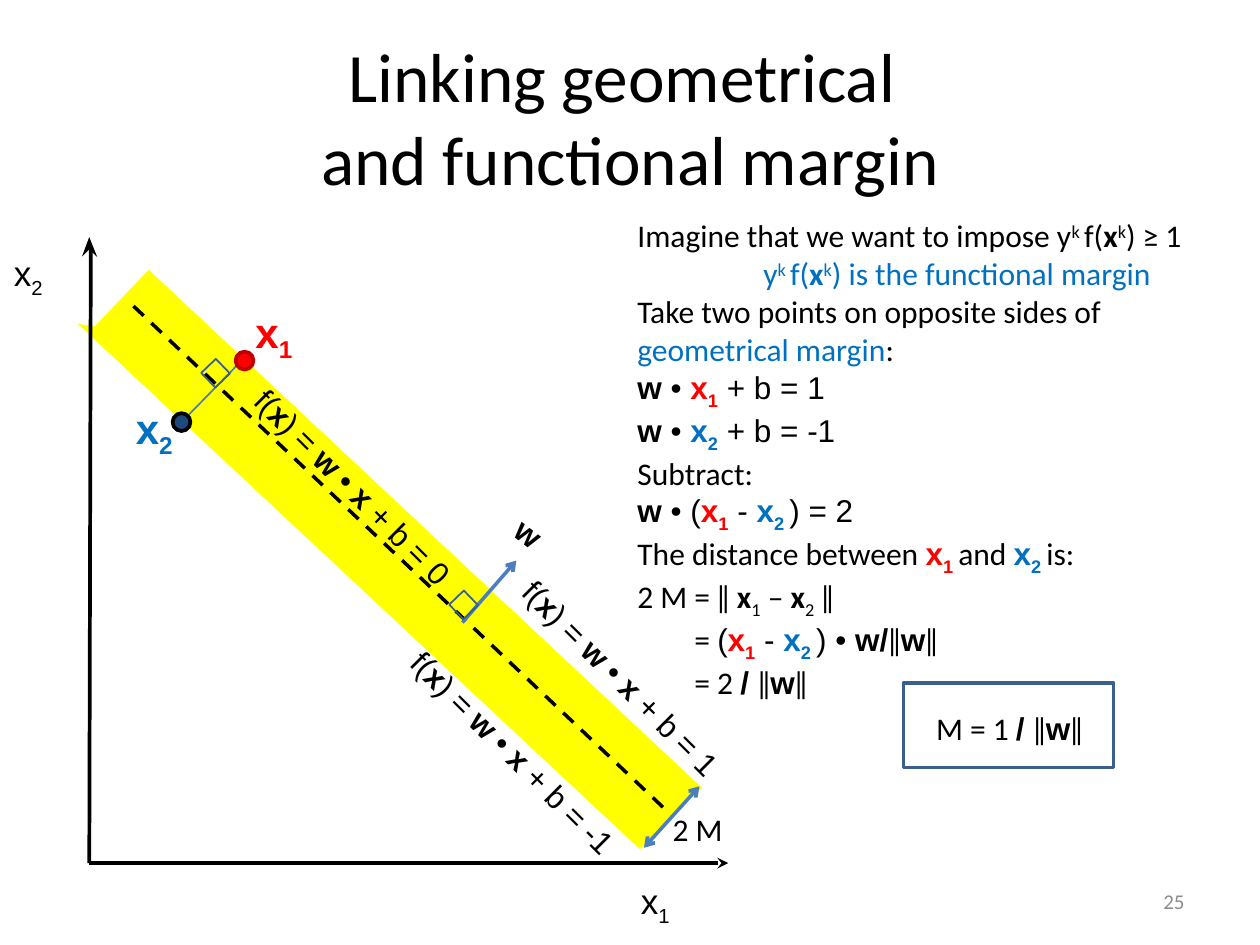
"""Build a slide that links the geometrical and the functional margin."""
from dataclasses import dataclass, field, replace

from lxml.etree import SubElement
from pptx import Presentation
from pptx.dml.color import RGBColor
from pptx.enum.dml import MSO_LINE
from pptx.enum.shapes import MSO_CONNECTOR, MSO_SHAPE
from pptx.enum.text import MSO_ANCHOR, MSO_AUTO_SIZE, PP_ALIGN
from pptx.oxml.ns import qn
from pptx.util import Cm, Pt

COLORS = {
    "black": "000000", "white": "FFFFFF", "gray": "8C8C8C", "yellow": "FFFF00",
    "red": "FF0000", "dark red": "C00000", "blue": "0070C0", "navy": "1F497D",
    "arrow": "4B7EBC", "outline": "3A5F8C",
}


@dataclass(frozen=True)
class Run:
    text: str
    name: str = "Calibri"
    bold: bool = False
    color: str = "black"
    baseline: int = 0


@dataclass(frozen=True)
class Label:
    box: tuple
    paragraphs: list
    size: float = 18
    rotation: float = 0
    wrap: bool = False
    align: PP_ALIGN = PP_ALIGN.LEFT
    anchor: MSO_ANCHOR = MSO_ANCHOR.TOP
    fill: str = ""
    indents: dict = field(default_factory=dict)


@dataclass(frozen=True)
class Line:
    start: tuple
    end: tuple
    color: str = "black"
    width: float = 2.13
    head: str = ""
    tail: str = ""
    dashed: bool = False


@dataclass(frozen=True)
class Figure:
    kind: MSO_SHAPE
    box: tuple
    line: str
    width: float
    fill: str = ""
    rotation: float = 0


def rgb(name: str) -> RGBColor:
    return RGBColor.from_string(COLORS[name])


def arial(text: str, bold: bool = False) -> Run:
    return Run(text, "Arial", bold)


def point(index: str, color: str, gap: str = "") -> list:
    name = Run("x", "Arial", True, color)
    return [name, replace(name, text=index + gap, baseline=-25)]


def functional(color: str, opening: str, closing: str) -> list:
    runs = [Run(opening), Run("k ", baseline=30), Run("f("), Run("x", bold=True),
            Run("k", baseline=30), Run(closing)]
    return [replace(run, color=color) for run in runs]


def hyperplane(value: str) -> list:
    return [arial("f("), arial("x", True), arial(") = "), arial("w ", True),
            arial("• "), arial("x", True), arial(f" + b = {value}")]


def axis_name(index: str) -> list:
    return [arial("x"), Run(index, "Arial", baseline=-25)]


def write(paragraph, runs: list, size: float) -> None:
    for item in runs:
        run = paragraph.add_run()
        run.text = item.text
        for attribute, value in {"name": item.name, "bold": item.bold, "size": Pt(size)}.items():
            setattr(run.font, attribute, value)
        run.font.color.rgb = rgb(item.color)
        if item.baseline:
            run._r.get_or_add_rPr().set("baseline", str(item.baseline * 1000))


def add_label(slide, label: Label) -> None:
    shape = slide.shapes.add_textbox(*map(Cm, label.box))
    shape.rotation = label.rotation
    if label.fill:
        shape.fill.solid()
        shape.fill.fore_color.rgb = rgb(label.fill)
    frame = shape.text_frame
    settings = {"word_wrap": label.wrap, "auto_size": MSO_AUTO_SIZE.NONE,
                "vertical_anchor": label.anchor}
    for attribute, value in settings.items():
        setattr(frame, attribute, value)
    for number, runs in enumerate(label.paragraphs):
        paragraph = frame.add_paragraph() if number else frame.paragraphs[0]
        paragraph.alignment = label.align
        if number in label.indents:
            paragraph._p.get_or_add_pPr().set("marL", str(Cm(label.indents[number])))
        write(paragraph, runs, label.size)


def add_line(slide, line: Line) -> None:
    connector = slide.shapes.add_connector(
        MSO_CONNECTOR.STRAIGHT, *map(Cm, line.start + line.end))
    connector.line.color.rgb = rgb(line.color)
    connector.line.width = Pt(line.width)
    if line.dashed:
        connector.line.dash_style = MSO_LINE.DASH
    properties = connector._element.spPr
    for tag, kind in {"a:headEnd": line.head, "a:tailEnd": line.tail}.items():
        if kind:
            SubElement(properties.find(qn("a:ln")), qn(tag), type=kind)
    SubElement(properties, qn("a:effectLst"))


def paint(shape, fill: str, line: str = "", width: float = 0) -> None:
    shape.shadow.inherit = False
    if fill:
        shape.fill.solid()
        shape.fill.fore_color.rgb = rgb(fill)
    else:
        shape.fill.background()
    if line:
        shape.line.color.rgb = rgb(line)
        shape.line.width = Pt(width)
    else:
        shape.line.fill.background()


def add_figure(slide, figure: Figure) -> None:
    shape = slide.shapes.add_shape(figure.kind, *map(Cm, figure.box))
    shape.rotation = figure.rotation
    paint(shape, figure.fill, figure.line, figure.width)


def add_polygon(slide, corners: list, fill: str) -> None:
    start, *others = [(Cm(x), Cm(y)) for x, y in corners]
    builder = slide.shapes.build_freeform(*start, scale=1.0)
    builder.add_line_segments(others, close=True)
    paint(builder.convert_to_shape(), fill)


def add_title(slide) -> None:
    title = slide.shapes.title
    for attribute, value in zip(("left", "top", "width", "height"), (1.27, 0.76, 22.86, 3.18)):
        setattr(title, attribute, Cm(value))
    frame = title.text_frame
    frame.auto_size = MSO_AUTO_SIZE.NONE
    frame.vertical_anchor = MSO_ANCHOR.MIDDLE
    paragraph = frame.paragraphs[0]
    paragraph.alignment = PP_ALIGN.CENTER
    write(paragraph, [Run("Linking geometrical ")], 39.6)
    paragraph.add_line_break()
    write(paragraph, [Run("and functional margin")], 39.6)


def main() -> None:
    presentation = Presentation()
    presentation.slide_width, presentation.slide_height = Cm(25.4), Cm(19.05)
    slide = presentation.slides.add_slide(presentation.slide_layouts[5])
    add_title(slide)
    w, dot, minus = arial("w", True), arial(" • "), arial(" - ")
    norm = [Run("ǁ"), w, Run("ǁ")]
    difference = [*point("1", "red"), minus, *point("2", "blue", " ")]
    derivation = [
        functional("black", "Imagine that we want to impose y", ") ≥ 1"),
        functional("blue", "y", ") is the functional margin"),
        [Run("Take two points on opposite sides of "),
         Run("geometrical margin", color="blue"), Run(":")],
        [w, dot, *point("1", "red"), arial(" + b = 1")],
        [w, dot, *point("2", "blue"), arial(" + b = -1")],
        [Run("Subtract:")],
        [w, arial(" • ("), *difference, arial(") = 2")],
        [Run("The distance between "), *point("1", "red", " "), Run("and "),
         *point("2", "blue", " "), Run("is:")],
        [Run("2 M = ǁ "), Run("x", bold=True), Run("1", baseline=-25), Run(" – "),
         Run("x", bold=True), Run("2", baseline=-25), Run(" ǁ")],
        [Run("= "), arial("("), *difference, arial(") • "), arial("w/", True), *norm],
        [Run("= 2 "), arial("/ ", True), *norm],
    ]
    square, circle = MSO_SHAPE.RECTANGLE, MSO_SHAPE.OVAL
    add_polygon(slide, [(1.91, 6.58), (3, 5.44), (14.15, 15.88), (12.9, 17.12), (1.57, 6.53)], "yellow")
    add_polygon(slide, [(1.65, 5.18), (1.8, 4.78), (1.96, 5.18), (1.8, 5.03)], "black")
    drawing = [
        Line((1.8, 17.4), (14.68, 17.4), tail="stealth"),
        Line((1.8, 17.4), (1.83, 5.03)),
        Label((12.67, 17.6, 2.51, 1.45), [axis_name("1")], 20, wrap=True, fill="white"),
        Label((0.03, 4.95, 1.63, 1.45), [axis_name("2")], 20, wrap=True, fill="white"),
        Line((2.69, 6.17), (13.51, 16.41), width=2, dashed=True),
        Label((4.22, 9.35, 5.89, 1.02), [hyperplane("0")], rotation=44.9),
        Label((9.6, 13.26, 6.05, 1.02), [hyperplane("1")], rotation=44.9),
        Label((7.34, 14.71, 6.1, 1.02), [hyperplane("-1")], rotation=44.9),
        Line((9.32, 12.55), (10.41, 11.3), "arrow", 2, tail="arrow"),
        Label((10.03, 10.31, 1.32, 1.35), [[w]], rotation=37.5),
        Label((4.9, 6.05, 1.3, 1.27), [point("1", "red")], 24),
        Label((2.49, 7.98, 1.3, 1.27), [point("2", "blue")], 24),
        Line((3.66, 8.51), (4.93, 7.21), "arrow", 1),
        Figure(square, (4.14, 7.32, 0.41, 0.41), "outline", 1, rotation=46.1),
        Figure(circle, (3.48, 8.33, 0.36, 0.36), "black", 2.13, "navy"),
        Figure(circle, (4.75, 7.09, 0.36, 0.36), "dark red", 2.13, "red"),
        Figure(square, (9.14, 11.99, 0.41, 0.41), "outline", 1, rotation=46.1),
        Label((12.6, 4.24, 12.7, 10.26), derivation, wrap=True,
              indents={1: 2.54, 9: 1.15, 10: 1.15}),
        Line((12.98, 17.09), (14.1, 15.85), "arrow", 2, "arrow", "arrow"),
        Label((13.31, 16.21, 1.68, 1.02), [[Run("2 M")]]),
        Label((18.62, 14.17, 3.51, 1.8), [[Run("M = 1 "), arial("/ ", True), *norm]]),
        Figure(square, (18.21, 13.77, 4.24, 1.7), "outline", 2),
        Label((18.21, 17.65, 5.92, 1.02), [[Run("25", color="gray")]], 12, wrap=True,
              align=PP_ALIGN.RIGHT, anchor=MSO_ANCHOR.MIDDLE),
    ]
    painters = {Line: add_line, Label: add_label, Figure: add_figure}
    for element in drawing:
        painters[type(element)](slide, element)
    presentation.save("out.pptx")


if __name__ == "__main__":
    main()
